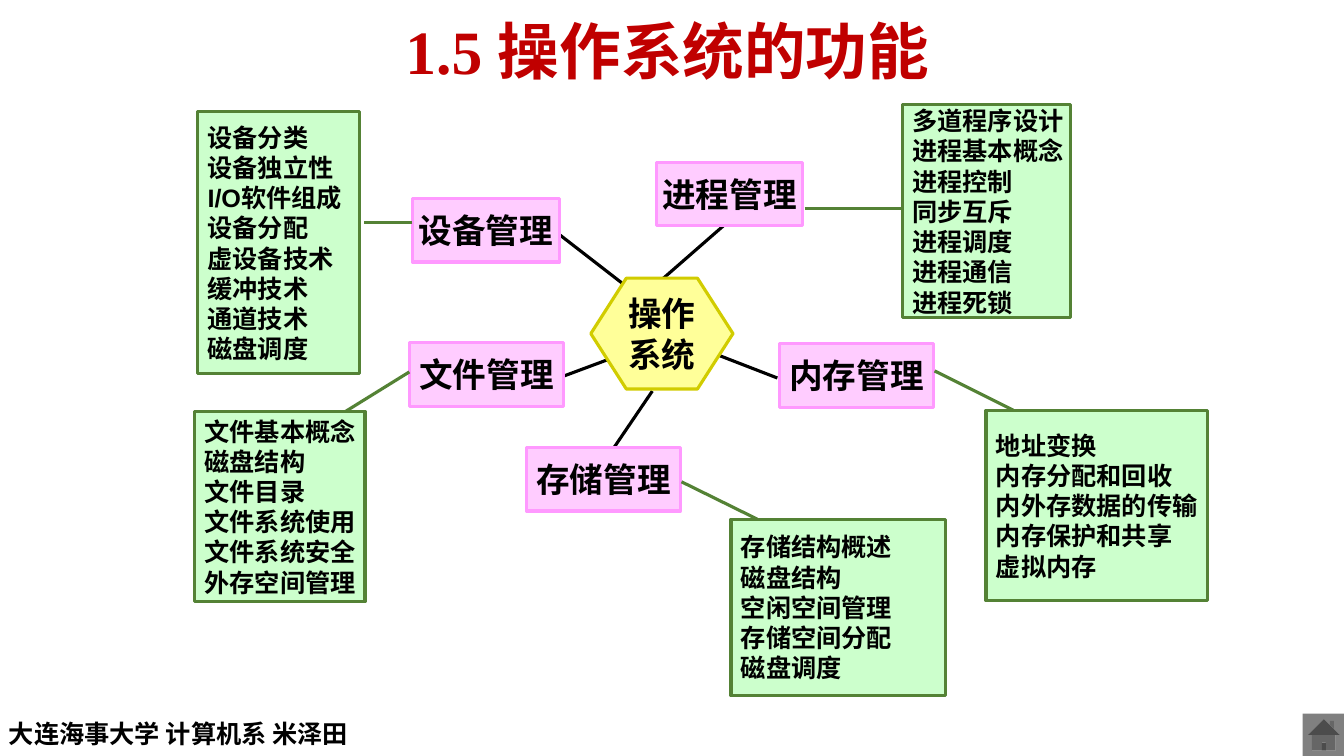
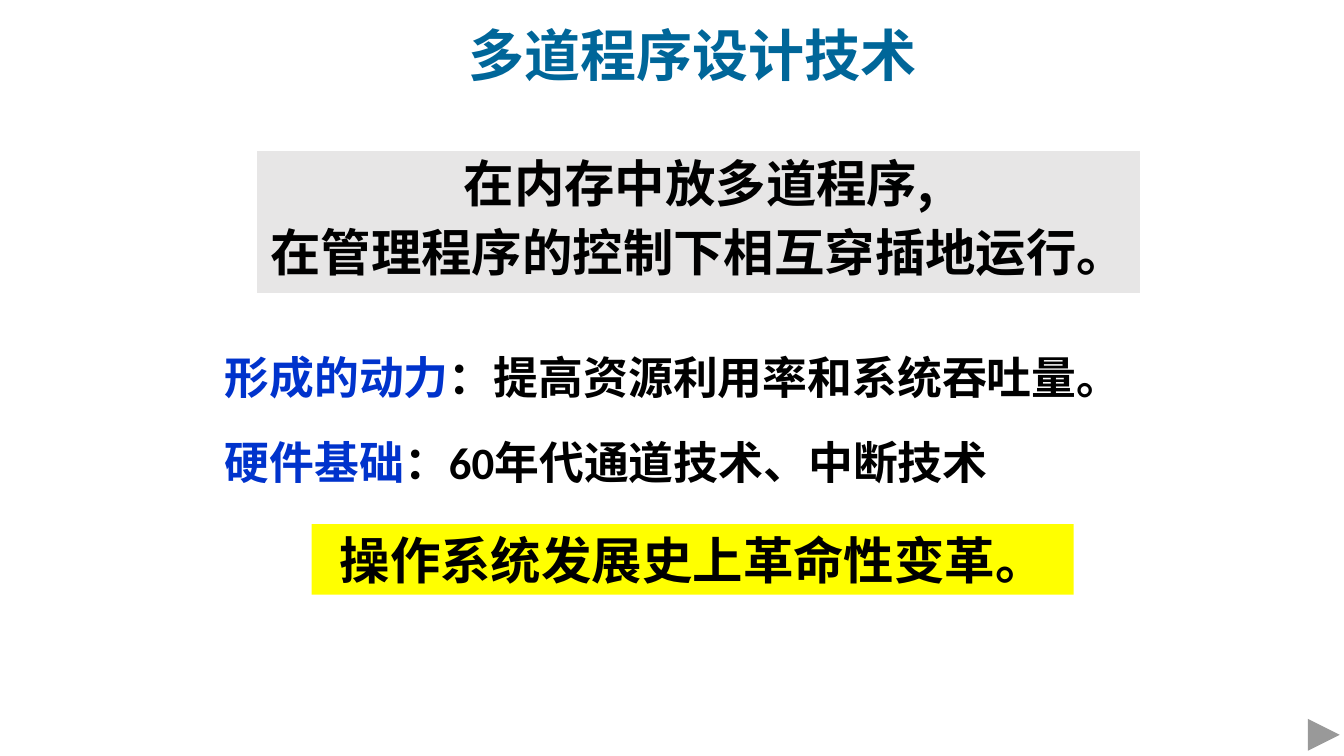
"""Build two slides on the functions of an operating system."""
import dataclasses

import pptx
import pptx.dml.color
import pptx.enum.shapes
import pptx.enum.text
import pptx.oxml.ns
import pptx.util
from lxml import etree

Inches = pptx.util.Inches
Pt = pptx.util.Pt
Shape = pptx.enum.shapes.MSO_SHAPE
Align = pptx.enum.text.PP_ALIGN
Anchor = pptx.enum.text.MSO_ANCHOR


@dataclasses.dataclass(frozen=True)
class Theme:
    """Colours, fonts and type sizes of the deck."""
    black: str = "000000"
    white: str = "FFFFFF"
    red: str = "C00000"
    teal: str = "006699"
    blue: str = "0033CC"
    grey: str = "E7E6E6"
    button: str = "808080"
    yellow: str = "FFFF00"
    hub_fill: str = "FFFF99"
    hub_line: str = "D1CC00"
    area_fill: str = "FFCCFF"
    area_line: str = "FF99FF"
    topic_fill: str = "CCFFCC"
    topic_line: str = "548235"
    sans: str = "Arial"
    serif: str = "Times New Roman"
    latin: str = "Calibri"
    chinese: str = "Noto Sans CJK SC"
    chapter: int = 44
    heading: int = 40
    statement: int = 36
    fact: int = 32
    label: int = 24
    small: int = 18
    stroke: float = 2.25


THEME = Theme()

AREAS = [
    ("进程管理", (6.51, 1.61, 1.45, 0.63)),
    ("设备管理", (4.09, 1.97, 1.46, 0.63)),
    ("内存管理", (7.73, 3.41, 1.53, 0.63)),
    ("文件管理", (4.06, 3.40, 1.53, 0.63)),
    ("存储管理", (5.22, 4.44, 1.53, 0.63)),
]

SPOKES = [
    (6.58, 2.76, 7.21, 2.21),
    (5.54, 3.75, 6.05, 3.56),
    (7.71, 3.75, 7.09, 3.51),
    (6.21, 2.84, 5.50, 2.29),
    (6.09, 4.44, 6.47, 3.88),
]

TOPICS = [
    ((8.95, 1.04, 1.67, 2.11), (7.98, 2.07, 8.95, 2.07),
     ["多道程序设计", "进程基本概念", "进程控制", "同步互斥", "进程调度",
      "进程通信", "进程死锁"]),
    ((1.96, 1.11, 1.61, 2.60), (4.09, 2.21, 3.61, 2.21),
     ["设备分类", "设备独立性", "I/O软件组成", "设备分配", "虚设备技术",
      "缓冲技术", "通道技术", "磁盘调度"]),
    ((1.93, 4.08, 1.69, 1.89), (4.06, 3.69, 3.43, 4.08),
     ["文件基本概念", "磁盘结构", "文件目录", "文件系统使用",
      "文件系统安全", "外存空间管理"]),
    ((9.78, 4.07, 2.20, 1.89), (9.27, 3.68, 10.05, 4.07),
     ["地址变换", "内存分配和回收", "内外存数据的传输", "内存保护和共享",
      "虚拟内存"]),
    ((7.25, 5.15, 2.13, 1.75), (6.76, 4.78, 7.51, 5.15),
     ["存储结构概述", "磁盘结构", "空闲空间管理", "存储空间分配",
      "磁盘调度"]),
]


def rgb(colour):
    """Return a colour object for a hex string."""
    return pptx.dml.color.RGBColor.from_string(colour)


def style_span(span, size, colour, font):
    """Format one run in bold with Latin and Chinese fonts."""
    span.font.size = Pt(size)
    span.font.bold = True
    span.font.name = font
    span.font.color.rgb = rgb(colour)
    properties = span.font._element
    east = etree.Element(pptx.oxml.ns.qn("a:ea"), typeface=THEME.chinese)
    properties.find(pptx.oxml.ns.qn("a:latin")).addnext(east)


def write(shape, lines, size, colour=THEME.black, font=THEME.chinese,
          align=Align.LEFT, spacing=None, wrap=True):
    """Write vertically centred lines into a shape."""
    frame = shape.text_frame
    frame.text = "\n".join(lines)
    frame.word_wrap = wrap
    frame.auto_size = pptx.enum.text.MSO_AUTO_SIZE.NONE
    frame.vertical_anchor = Anchor.MIDDLE
    for para in frame.paragraphs:
        para.alignment = align
        para.line_spacing = spacing
        for span in para.runs:
            style_span(span, size, colour, font)
    return frame


def place(shape, area):
    """Move and resize a shape."""
    shape.left, shape.top, shape.width, shape.height = map(Inches, area)


def add_title(page, text, area, size, colour, font, spacing=None):
    """Fill and place the title placeholder."""
    place(page.shapes.title, area)
    write(page.shapes.title, [text], size, colour, font, Align.CENTER, spacing)


def add_box(page, kind, area, fill, line=None):
    """Add a flat preset shape."""
    box = page.shapes.add_shape(kind, *map(Inches, area))
    box.shadow.inherit = False
    box.fill.solid()
    box.fill.fore_color.rgb = rgb(fill)
    if line:
        box.line.color.rgb = rgb(line)
        box.line.width = Pt(THEME.stroke)
    else:
        box.line.fill.background()
    return box


def add_line(page, ends, colour):
    """Add a straight connector."""
    line = page.shapes.add_connector(
        pptx.enum.shapes.MSO_CONNECTOR.STRAIGHT, *map(Inches, ends))
    line.line.color.rgb = rgb(colour)
    line.line.width = Pt(THEME.stroke)
    etree.SubElement(line._element.spPr, pptx.oxml.ns.qn("a:effectLst"))


def add_label(page, kind, area, lines, fill, line):
    """Add a shape with a centred label."""
    box = add_box(page, kind, area, fill, line)
    frame = write(box, lines, THEME.label, font=THEME.sans,
                  align=Align.CENTER, spacing=Pt(THEME.label * 1.2), wrap=False)
    frame.margin_left = frame.margin_right = 0
    return box


def add_topics(page, area, ends, lines):
    """Add a topic list with the line to its area."""
    add_line(page, ends, THEME.topic_line)
    box = add_box(page, Shape.RECTANGLE, area, THEME.topic_fill, THEME.topic_line)
    frame = write(box, lines, THEME.small, font=THEME.sans,
                  spacing=Pt(THEME.small * 1.2))
    frame.margin_right = 0


def add_fact(page, area, spans):
    """Add one line of differently formatted runs."""
    box = page.shapes.add_textbox(*map(Inches, area))
    frame = write(box, [""], THEME.fact)
    for text, colour, font in spans:
        span = frame.paragraphs[0].add_run()
        span.text = text
        style_span(span, THEME.fact, colour, font)


def add_button(page, kind, fill):
    """Add a navigation button in the bottom right corner."""
    add_box(page, kind, (12.92, 7.08, 0.42, 0.42), fill)


def add_definition(page, lines):
    """Fill the body placeholder with the framed definition."""
    body = page.placeholders[1]
    place(body, (2.52, 1.47, 8.82, 1.47))
    body.fill.solid()
    body.fill.fore_color.rgb = rgb(THEME.grey)
    body.line.color.rgb = rgb(THEME.white)
    body.line.width = Pt(4.5)
    frame = write(body, lines, THEME.statement, align=Align.CENTER, spacing=Pt(39))
    frame.vertical_anchor = Anchor.TOP
    frame.margin_top = Inches(0.1)
    for index, para in enumerate(frame.paragraphs):
        para.space_before = Pt(10 if index else 0)
        properties = para._p.get_or_add_pPr()
        properties.set("marL", "0")
        properties.set("indent", "0")
        etree.SubElement(properties, pptx.oxml.ns.qn("a:buNone"))


def build_functions(deck):
    """Build the map of operating system functions."""
    page = deck.slides.add_slide(deck.slide_layouts[5])
    add_title(page, "1.5 操作系统的功能", (2.24, 0.04, 8.76, 1.01),
              THEME.chapter, THEME.red, THEME.serif, 0.9)
    for ends in SPOKES:
        add_line(page, ends, THEME.black)
    hub = add_label(page, Shape.HEXAGON, (5.86, 2.76, 1.41, 1.1),
                    ["操作", "系统"], THEME.hub_fill, THEME.hub_line)
    hub.adjustments[0] = 0.32
    for name, area in AREAS:
        add_label(page, Shape.RECTANGLE, area, [name],
                  THEME.area_fill, THEME.area_line)
    for area, ends, lines in TOPICS:
        add_topics(page, area, ends, lines)
    add_button(page, Shape.ACTION_BUTTON_HOME, THEME.button)
    footer = page.shapes.add_textbox(*map(Inches, (-0.01, 7.08, 4.18, 0.4)))
    write(footer, ["大连海事大学 计算机系 米泽田"], THEME.small)


def build_multiprogramming(deck):
    """Build the slide on multiprogramming."""
    page = deck.slides.add_slide(deck.slide_layouts[1])
    add_title(page, "多道程序设计技术", (4.52, 0.14, 4.7, 0.79),
              THEME.heading, THEME.teal, THEME.latin)
    add_definition(page, ["在内存中放多道程序,", "在管理程序的控制下相互穿插地运行。"])
    add_fact(page, (2.13, 3.42, 9.73, 0.63), [
        ("形成的动力", THEME.blue, THEME.chinese),
        ("：提高资源利用率和系统吞吐量。", THEME.black, THEME.chinese)])
    add_fact(page, (2.13, 4.26, 9.21, 0.63), [
        ("硬件基础", THEME.blue, THEME.chinese),
        ("：", THEME.black, THEME.chinese),
        ("60年", THEME.black, THEME.latin),
        ("代通道技术、中断技术", THEME.black, THEME.chinese)])
    banner = add_box(page, Shape.RECTANGLE, (3.09, 5.2, 7.56, 0.7), THEME.yellow)
    write(banner, ["操作系统发展史上革命性变革。"], THEME.statement,
          align=Align.CENTER)
    add_button(page, Shape.ACTION_BUTTON_FORWARD_OR_NEXT, THEME.white)


def main():
    """Build and save the deck."""
    deck = pptx.Presentation()
    deck.slide_width = Inches(13.33)
    deck.slide_height = Inches(7.5)
    build_functions(deck)
    build_multiprogramming(deck)
    deck.save("out.pptx")


main()
